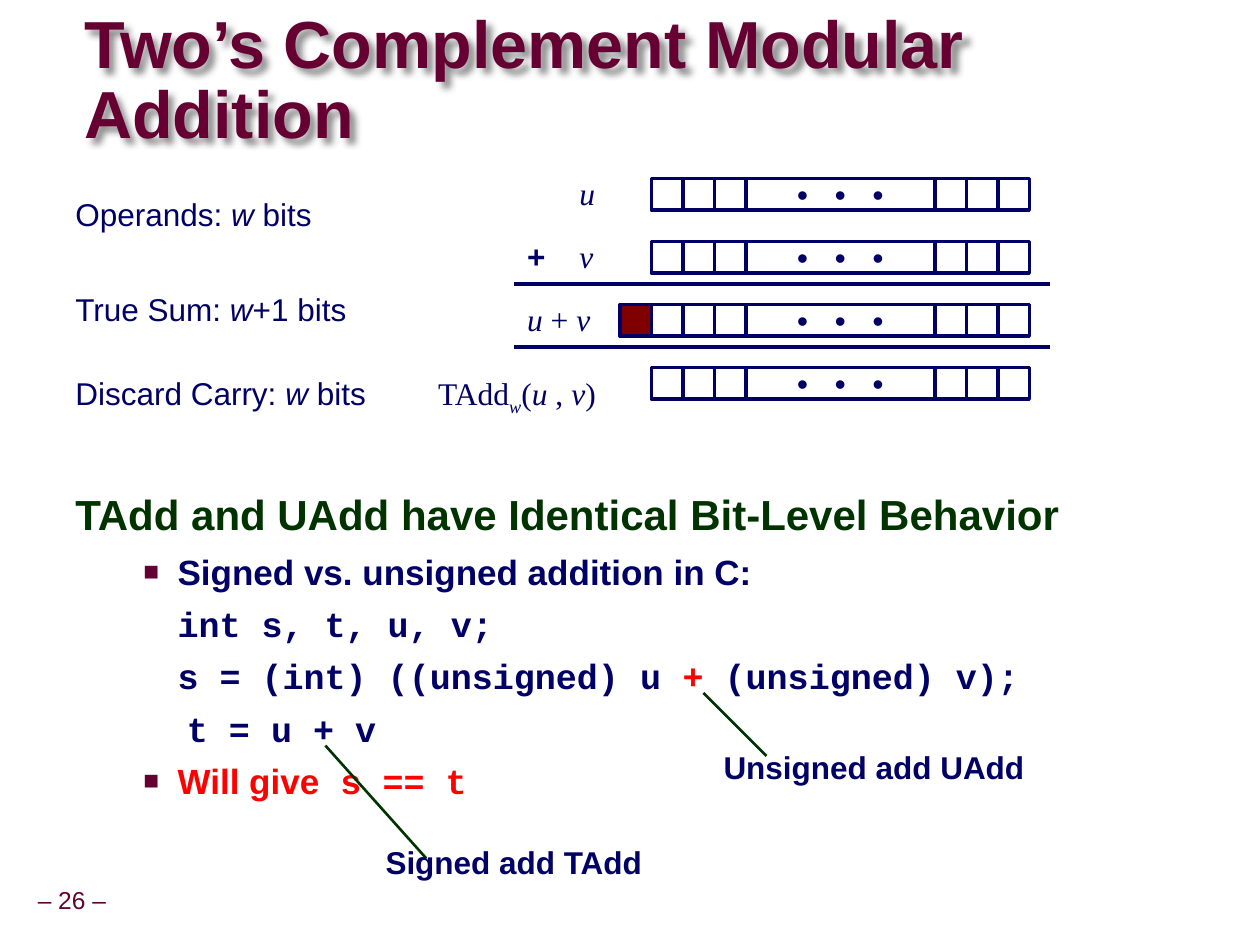
from lxml import etree
from pptx import Presentation
from pptx.dml.color import RGBColor
from pptx.enum.shapes import MSO_CONNECTOR, MSO_SHAPE
from pptx.enum.text import MSO_ANCHOR, PP_ALIGN
from pptx.oxml.ns import qn
from pptx.util import Cm, Pt

LINE, RECT = MSO_CONNECTOR.STRAIGHT, MSO_SHAPE.RECTANGLE
MID, TOP = MSO_ANCHOR.MIDDLE, MSO_ANCHOR.TOP
LEFT, MIDST, RIGHT = PP_ALIGN.LEFT, PP_ALIGN.CENTER, PP_ALIGN.RIGHT
HUE = {"navy": "000066", "wine": "660033", "green": "003300",
       "red": "FF0000", "carry": "800000", "white": "FFFFFF"}
SANS, MONO, SERIF = "Arial", "Courier New", "Times New Roman"
CELL = 1.27 / 2
STEP = 2 * CELL
BITS_X, BITS_Y = 13.13, 3.6
SUM_X, SUM_END = 10.37, 21.17

BASE = {"name": SANS, "size": Pt(18), "bold": False, "italic": False}
BOLD = {"bold": True}
ITAL = {"italic": True}
MATH = {"name": SERIF}
VAR = {**MATH, **ITAL}
HEAD = {**BOLD, "size": Pt(24)}
ITEM = {**BOLD, "size": Pt(20)}
CODE = {**ITEM, "name": MONO}


def color(name):
    return RGBColor.from_string(HUE[name])


def apply(item, form):
    for key, value in form.items():
        setattr(item, key, value)


def add_runs(para, runs):
    for text, form, hue in runs:
        run = para.add_run()
        run.text = text
        apply(run.font, {**BASE, **form})
        run.font.color.rgb = color(hue)


def add_text(shapes, box, runs=(), align=LEFT, wrap=False, anchor=TOP,
             pad=(0.25, 0.13), space=1.0):
    shape = shapes.add_textbox(*map(Cm, box))
    side, edge = map(Cm, pad)
    frame = shape.text_frame
    apply(frame, {"word_wrap": wrap, "vertical_anchor": anchor,
                  "margin_left": side, "margin_right": side,
                  "margin_top": edge, "margin_bottom": edge})
    apply(frame.paragraphs[0], {"alignment": align, "line_spacing": space})
    add_runs(frame.paragraphs[0], runs)
    return shape


def add_line(shapes, start, end, hue, width):
    line = shapes.add_connector(LINE, *map(Cm, start + end))
    line.line.color.rgb = color(hue)
    line.line.width = Pt(width)
    etree.SubElement(line._element.spPr, qn("a:effectLst"))


def add_cell(shapes, left, top, width=CELL, fill="white"):
    cell = shapes.add_shape(RECT, *map(Cm, (left, top, width, CELL)))
    cell.shadow.inherit = False
    cell.fill.solid()
    cell.fill.fore_color.rgb = color(fill)
    cell.line.color.rgb = color("navy")
    cell.line.width = Pt(2)
    return cell


def add_bits(slide, top, carry):
    shapes = slide.shapes.add_group_shape().shapes
    for col in (0, 1, 2, 9, 10, 11):
        add_cell(shapes, BITS_X + col * CELL, top)
    gap = add_cell(shapes, BITS_X + 3 * CELL, top, 6 * CELL)
    apply(gap.text_frame, {"word_wrap": False, "vertical_anchor": MID})
    para = gap.text_frame.paragraphs[0]
    para.alignment = MIDST
    add_runs(para, [("•\u00a0•\u00a0•", {"name": MONO}, "navy")])
    if carry:
        add_cell(shapes, BITS_X - CELL, top, fill="carry")


def add_title(slide, text):
    runs = [(text, {**BOLD, "size": Pt(38)}, "wine")]
    shape = add_text(slide.shapes, (1.7, 0.89, 20.75, 1.55), runs,
                     wrap=True, anchor=MID, pad=(0, 0), space=0.87)
    effect = etree.SubElement(shape._element.spPr, qn("a:effectLst"))
    shade = etree.SubElement(effect, qn("a:outerShdw"), blurRad="50800",
                             dist="50800", dir="2700000", algn="tl")
    tone = etree.SubElement(shade, qn("a:srgbClr"), val="000000")
    etree.SubElement(tone, qn("a:alpha"), val="43000")


def set_dent(para, left, hang, mark):
    props = para._p.get_or_add_pPr()
    props.set("marL", str(Cm(left)))
    props.set("indent", str(Cm(-hang)))
    if mark:
        tint = etree.SubElement(props, qn("a:buClr"))
        etree.SubElement(tint, qn("a:srgbClr"), val=HUE["wine"])
        etree.SubElement(props, qn("a:buSzPct"), val="75000")
        etree.SubElement(props, qn("a:buFont"), typeface=SANS)
        etree.SubElement(props, qn("a:buChar"), char="■")
    else:
        etree.SubElement(props, qn("a:buNone"))


def add_body(slide):
    head = [("TAdd and UAdd have Identical Bit-Level Behavior", HEAD, "green")]
    shape = add_text(slide.shapes, (1.27, 9.8, 22, 6.22), head, wrap=True, space=0.95)
    items = [
        (2.06, True, [("Signed vs. unsigned addition in C:", ITEM, "navy")]),
        (2.06, False, [("int s, t, u, v;", CODE, "navy")]),
        (2.06, False, [("s = (int) ((unsigned) u ", CODE, "navy"),
                       ("+", CODE, "red"),
                       (" (unsigned) v);", CODE, "navy")]),
        (2.25, False, [("t = u + v", CODE, "navy")]),
        (2.06, True, [("Will give", ITEM, "red"), (" s == t", CODE, "red")]),
    ]
    for left, mark, runs in items:
        para = shape.text_frame.add_paragraph()
        para.space_before = Pt(5.8)
        set_dent(para, left, 0.69 if mark else 0, mark)
        add_runs(para, runs)


def add_call(slide, start, end, box, text):
    shapes = slide.shapes.add_group_shape().shapes
    add_line(shapes, start, end, "green", 1.5)
    add_text(shapes, box, [(text, BOLD, "navy")], align=MIDST, space=0.9)


def add_notes(slide):
    notes = [("Operands: ", " bits", 3.81), ("True Sum: ", "+1 bits", 5.72),
             ("Discard Carry: ", " bits", 7.42)]
    for lead, tail, top in notes:
        runs = [(lead, {}, "navy"), ("w", ITAL, "navy"), (tail, {}, "navy")]
        add_text(slide.shapes, (1.27, top, 6.78, 1.02), runs, wrap=True)


def add_terms(slide):
    terms = [
        ((11.43, 3.38, 0.84), LEFT, [("u", VAR)]),
        ((11.43, 4.65, 0.79), LEFT, [("v", VAR)]),
        ((SUM_X, 4.65, 0.89), LEFT, [("+", {**BOLD, "name": MONO})]),
        ((SUM_X, 5.92, 1.78), RIGHT, [("u ", VAR), ("+ ", MATH), ("v", VAR)]),
        ((8.48, 7.42, 3.78), RIGHT,
         [("TAdd", MATH), ("w", VAR), ("(", MATH), ("u", VAR),
          (" , ", MATH), ("v", VAR), (")", MATH)]),
    ]
    for (left, top, width), align, parts in terms:
        runs = [(text, form, "navy") for text, form in parts]
        shape = add_text(slide.shapes, (left, top, width, 1.02), runs, align)
    low = shape.text_frame.paragraphs[0].runs[1]
    low.font._element.set("baseline", "-25000")


def main():
    deck = Presentation()
    deck.slide_width, deck.slide_height = Cm(25.4), Cm(19.05)
    slide = deck.slides.add_slide(deck.slide_layouts[6])
    add_text(slide.shapes, (0.61, 17.78, 1.68, 0.79),
             [("– 26 –", {"size": Pt(14)}, "wine")],
             align=MIDST, anchor=MID, pad=(0.13, 0.13), space=0.9)
    add_title(slide, "Two’s Complement Modular Addition")
    add_body(slide)
    for row in range(4):
        add_bits(slide, BITS_Y + row * STEP, row == 2)
    for top in (5.72, 5.72 + STEP):
        add_line(slide.shapes, (SUM_X, top), (SUM_END, top), "navy", 2)
    add_terms(slide)
    add_notes(slide)
    add_call(slide, (14.18, 13.97), (15.45, 15.24),
             (14.18, 15.03, 6.88, 0.97), "Unsigned add UAdd")
    add_call(slide, (6.56, 15.03), (8.59, 17.3),
             (7.49, 16.95, 5.74, 0.97), "Signed add TAdd")
    deck.save("out.pptx")


main()
